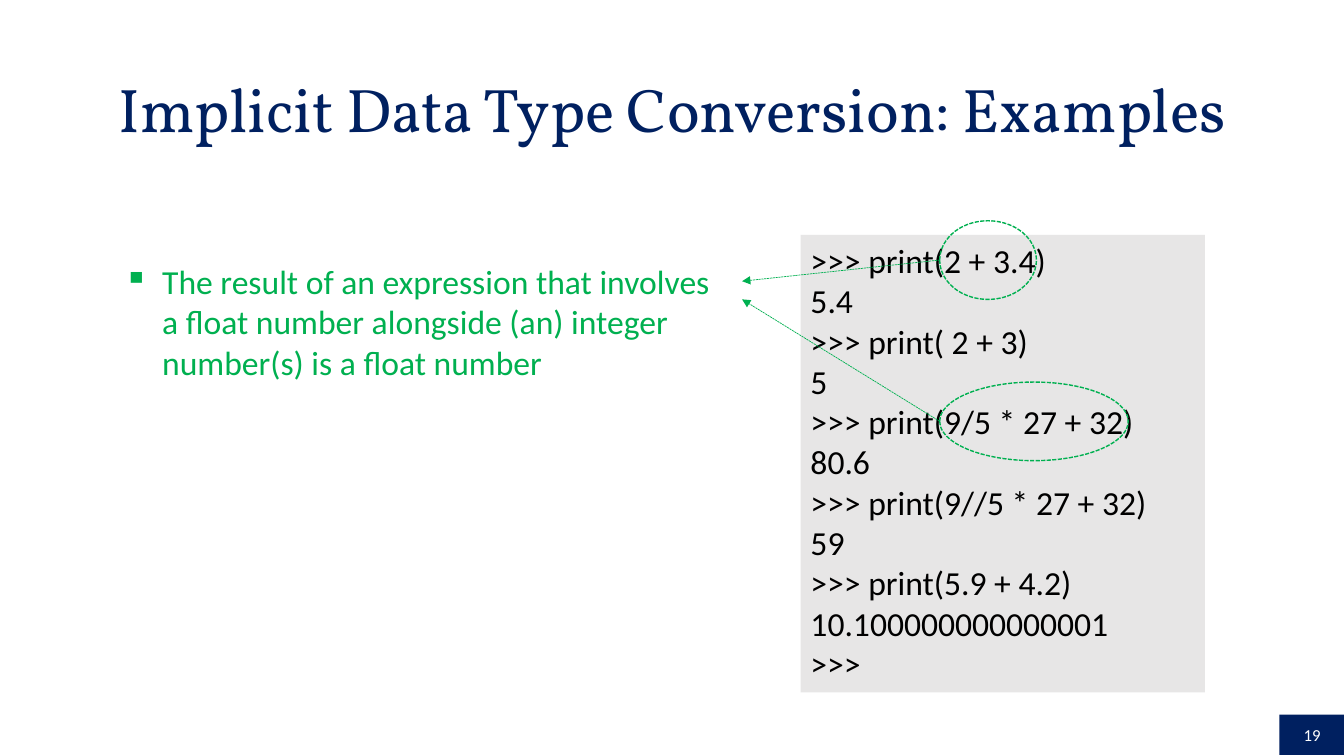
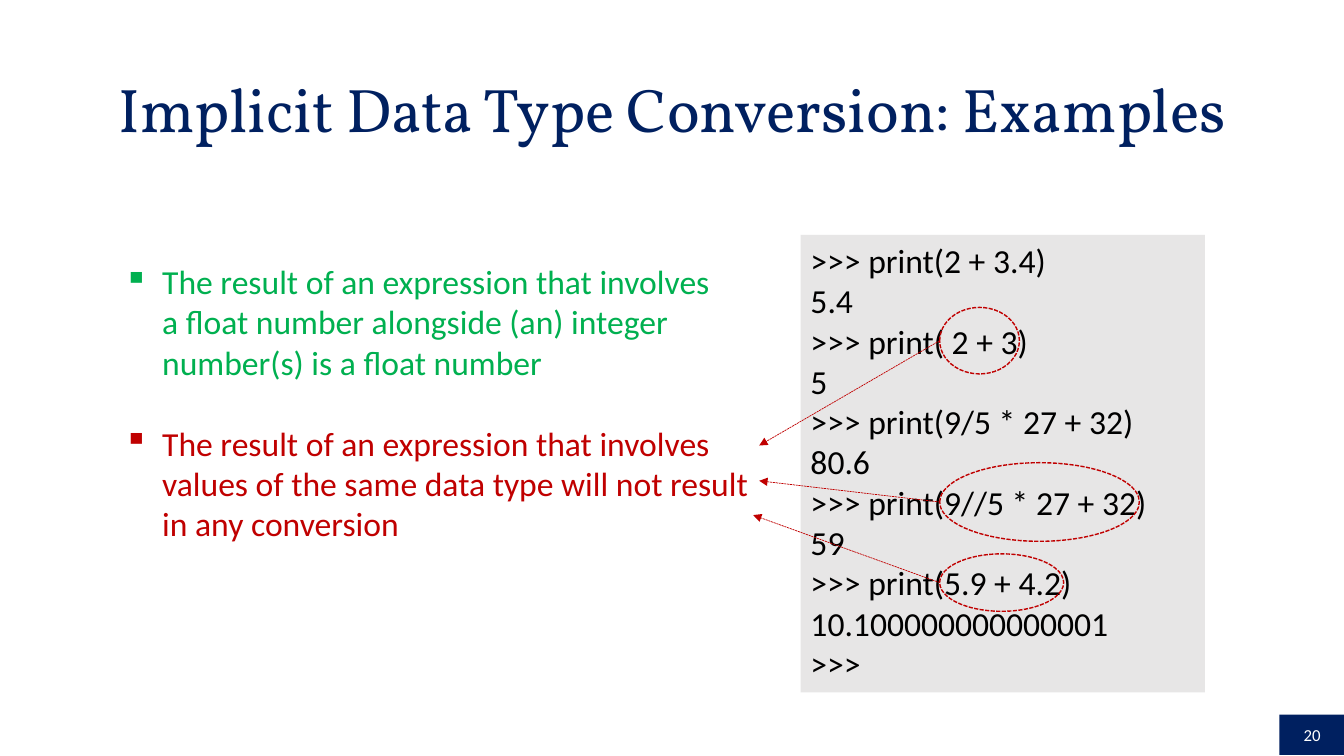
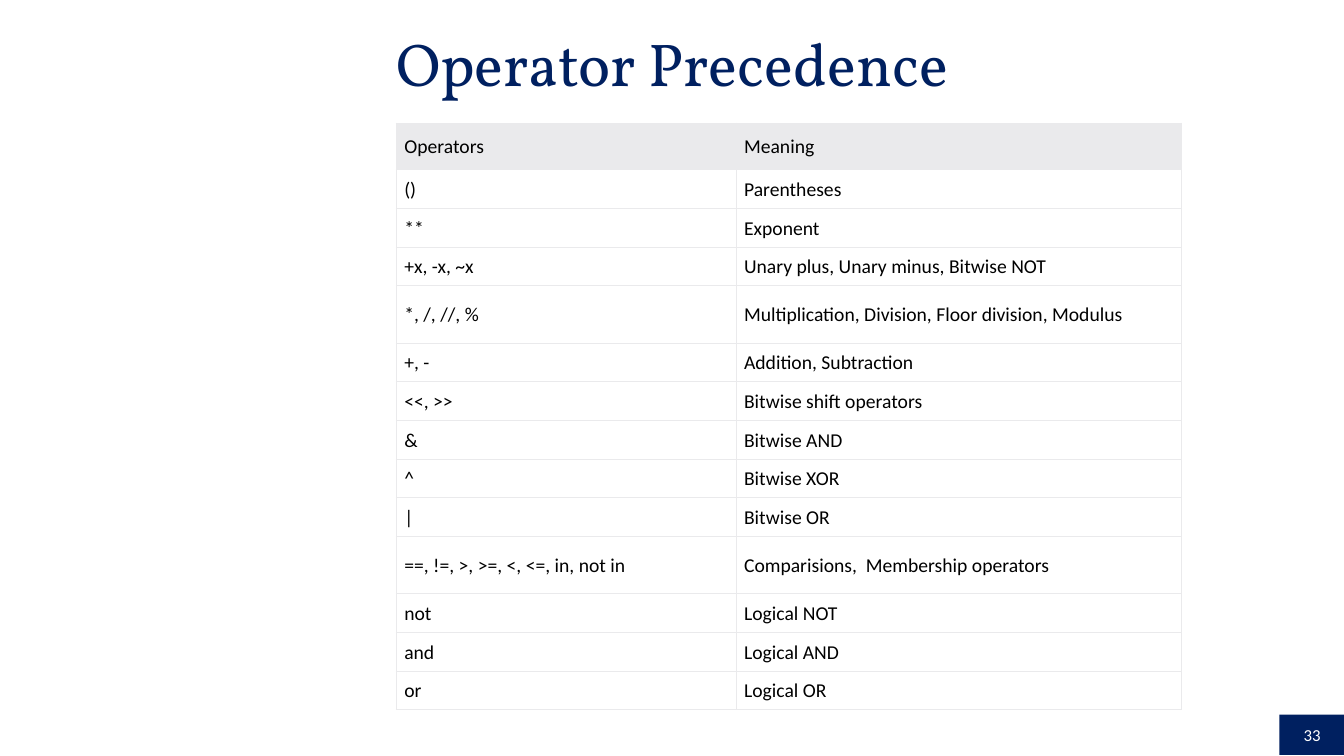
"""Build three slides on type conversion and operator precedence."""
import pptx
import pptx.util
import pptx.dml.color
import pptx.enum.dml
import pptx.enum.shapes
import pptx.enum.text
import pptx.oxml
import pptx.oxml.ns

Inches, Pt = pptx.util.Inches, pptx.util.Pt
rgb = pptx.dml.color.RGBColor.from_string
SHAPE = pptx.enum.shapes.MSO_SHAPE
ALIGN = pptx.enum.text.PP_ALIGN
ANCHOR = pptx.enum.text.MSO_ANCHOR
DASH = pptx.enum.dml.MSO_LINE.SQUARE_DOT
NS = pptx.oxml.ns.nsdecls("a")

NAVY, GREEN, RED, GRAY = "002060", "00B050", "C00000", "E7E6E6"
BLACK, WHITE, RULE = "000000", "FFFFFF", "EAEAEC"
W, H = 13.33, 7.5


def write(tf, text, size=24, color=BLACK, font="Calibri", align=ALIGN.LEFT,
          anchor=ANCHOR.TOP, spacing=None, before=0, bullet=False, more=False):
    """Put one paragraph in a text frame, in the first paragraph unless more is set."""
    tf.word_wrap = True
    tf.vertical_anchor = anchor
    p = tf.add_paragraph() if more else tf.paragraphs[0]
    p.text = text
    p.alignment = align
    p.line_spacing = spacing
    p.space_before = Pt(before)
    for r in p.runs:
        r.font.size, r.font.name = Pt(size), font
        r.font.color.rgb = rgb(color)
    if bullet:
        pPr = p._p.get_or_add_pPr()
        pPr.set("marL", str(Inches(0.38)))
        pPr.set("indent", str(-Inches(0.38)))
        pPr.append(pptx.oxml.parse_xml(f'<a:buChar {NS} char="▪"/>'))


def add_box(s, kind, x, y, w, h, fill=None, line=None):
    """Add a preset shape with a solid fill or a dashed outline."""
    sp = s.shapes.add_shape(kind, *map(Inches, (x, y, w, h)))
    sp.shadow.inherit = False
    if fill:
        sp.fill.solid()
        sp.fill.fore_color.rgb = rgb(fill)
    else:
        sp.fill.background()
    if line:
        sp.line.color.rgb = rgb(line)
        sp.line.width = Pt(1)
        sp.line.dash_style = DASH
    else:
        sp.line.fill.background()
    return sp


prs = pptx.Presentation()
prs.slide_width, prs.slide_height = Inches(W), Inches(H)

EXAMPLES = "Implicit Data Type Conversion: Examples"
EXAMPLES_TITLE = (EXAMPLES, 44, (0.92, 0.39, 11.5, 1.45), ANCHOR.MIDDLE)
slides = []
for number, (title, size, area, anchor) in (
        (19, EXAMPLES_TITLE),
        (20, EXAMPLES_TITLE),
        (33, ("Operator Precedence", 43.2, (2.88, 0.23, 7.57, 0.81), ANCHOR.BOTTOM))):
    s = prs.slides.add_slide(prs.slide_layouts[6])
    tb = s.shapes.add_textbox(*map(Inches, area))
    write(tb.text_frame, title, size=size, color=NAVY, font="Vollkorn",
          align=ALIGN.CENTER, anchor=anchor, spacing=0.9)
    sp = add_box(s, SHAPE.RECTANGLE, W - 0.64, H - 0.41, 0.65, 0.4, fill=NAVY)
    write(sp.text_frame, str(number), size=12, color=WHITE,
          align=ALIGN.CENTER, anchor=ANCHOR.MIDDLE)
    slides.append(s)

code = [">>> print(2 + 3.4)", "5.4", ">>> print( 2 + 3)", "5",
        ">>> print(9/5 * 27 + 32)", "80.6", ">>> print(9//5 * 27 + 32)", "59",
        ">>> print(5.9 + 4.2)", "10.100000000000001", ">>>\u00a0"]
rules = [
    ("The result of an expression that involves \na float number alongside (an) integer \n"
     "number(s) is a float number", GREEN),
    ("The result of an expression that involves\nvalues of the same data type will not result\n"
     "in any conversion", RED)]
# Each mark: code line, ellipse width and height, arrow tip.
marks = [
    [(0, 0.96, 0.78, 7.36, 2.79), (4, 1.87, 0.78, 7.36, 2.97)],
    [(2, 0.79, 0.66, 7.53, 4.42), (6, 1.98, 0.78, 7.53, 4.77), (8, 1.23, 0.57, 7.47, 5.11)]]
MARK_X, FIRST_LINE, PITCH = 9.32, 2.58, 0.4

for i, s in enumerate(slides[:2]):
    sp = add_box(s, SHAPE.RECTANGLE, 7.94, 2.33, 4.01, 4.54, fill=GRAY)
    for n, text in enumerate(code):
        write(sp.text_frame, text, more=n > 0)
    tb = s.shapes.add_textbox(*map(Inches, (1.13, 2.54, 6.45, (1.72, 3.33)[i])))
    for n, (text, color) in enumerate(rules[:i + 1]):
        write(tb.text_frame, text, color=color, bullet=True, more=n > 0, before=29 * n)
    color = rules[i][1]
    for row, w, h, tip_x, tip_y in marks[i]:
        y = FIRST_LINE + PITCH * row
        add_box(s, SHAPE.OVAL, MARK_X, y - h / 2, w, h, line=color)
        arrow = s.shapes.add_connector(pptx.enum.shapes.MSO_CONNECTOR.STRAIGHT,
                                       *map(Inches, (MARK_X, y, tip_x, tip_y)))
        arrow.line.color.rgb = rgb(color)
        arrow.line.width = Pt(0.5)
        arrow.line.dash_style = DASH
        arrow.line._get_or_add_ln().append(
            pptx.oxml.parse_xml(f'<a:tailEnd {NS} type="triangle"/>'))
        arrow._element.spPr.append(pptx.oxml.parse_xml(f"<a:effectLst {NS}/>"))

operators = [
    ("Operators", "Meaning"),
    ("()", "Parentheses"),
    ("**", "Exponent"),
    ("+x, -x, ~x", "Unary plus, Unary minus, Bitwise NOT"),
    ("*, /, //, %", "Multiplication, Division, Floor division, Modulus"),
    ("+, -", "Addition, Subtraction"),
    ("<<, >>", "Bitwise shift operators"),
    ("&", "Bitwise AND"),
    ("^", "Bitwise XOR"),
    ("|", "Bitwise OR"),
    ("==, !=, >, >=, <, <=, in, not in", "Comparisions,  Membership operators"),
    ("not", "Logical NOT"),
    ("and", "Logical AND"),
    ("or", "Logical OR")]
heights = {0: 0.46, 4: 0.57, 10: 0.57}
table = slides[2].shapes.add_table(
    len(operators), 2, *map(Inches, (3.93, 1.22, 7.79, 5.76))).table
table.first_row = table.horz_banding = False
for column, width in zip(table.columns, (3.37, 4.42)):
    column.width = Inches(width)
for n, texts in enumerate(operators):
    table.rows[n].height = Inches(heights.get(n, 0.38))
    top, bottom = (0.08, 0.07) if n else (0.12, 0.11)
    for cell, text in zip(table.rows[n].cells, texts):
        write(cell.text_frame, text, size=14)
        cell.vertical_anchor = ANCHOR.MIDDLE
        cell.margin_left, cell.margin_right = Inches(0.08), Inches(0.06)
        cell.margin_top, cell.margin_bottom = Inches(top), Inches(bottom)
        for side in "LRTB":
            cell._tc.get_or_add_tcPr().append(pptx.oxml.parse_xml(
                f'<a:ln{side} {NS} w="{Pt(0.75)}"><a:solidFill><a:srgbClr val="{RULE}"/>'
                f"</a:solidFill></a:ln{side}>"))
        cell.fill.solid()
        cell.fill.fore_color.rgb = rgb(WHITE if n else RULE)

prs.save("out.pptx")
